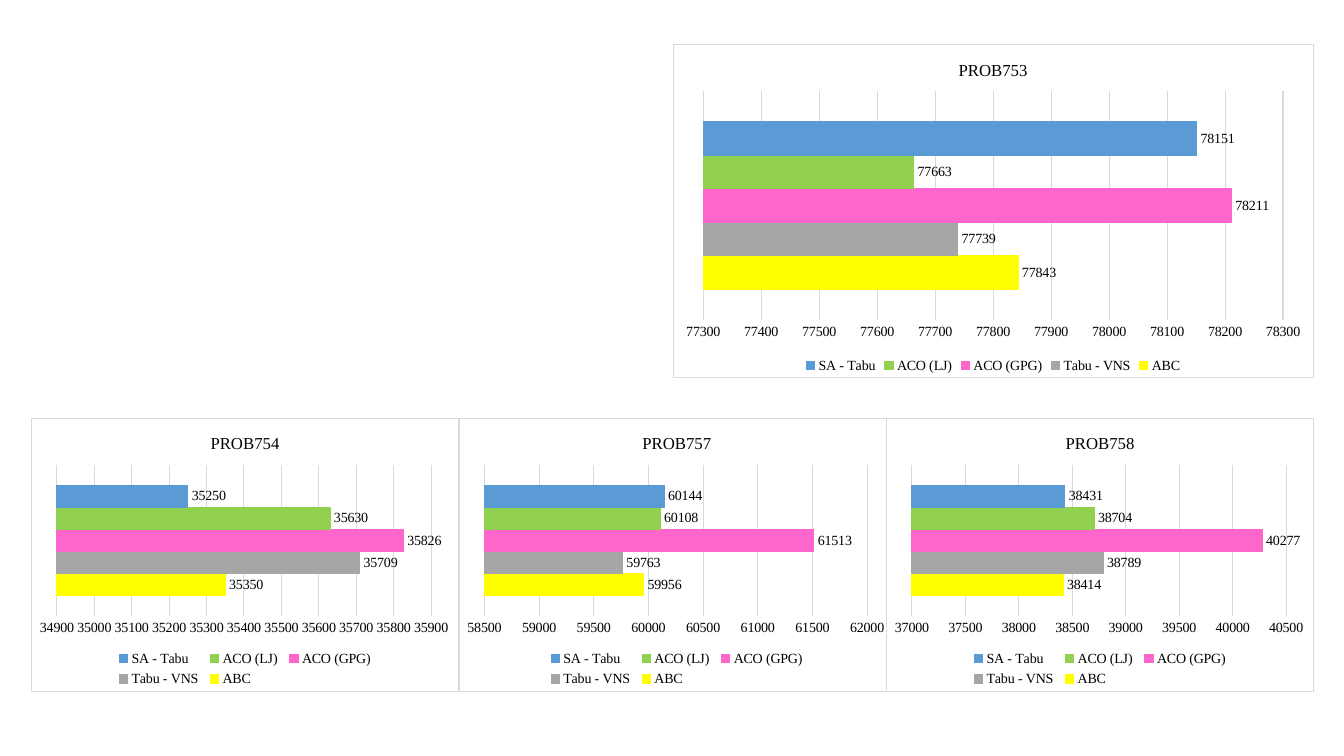
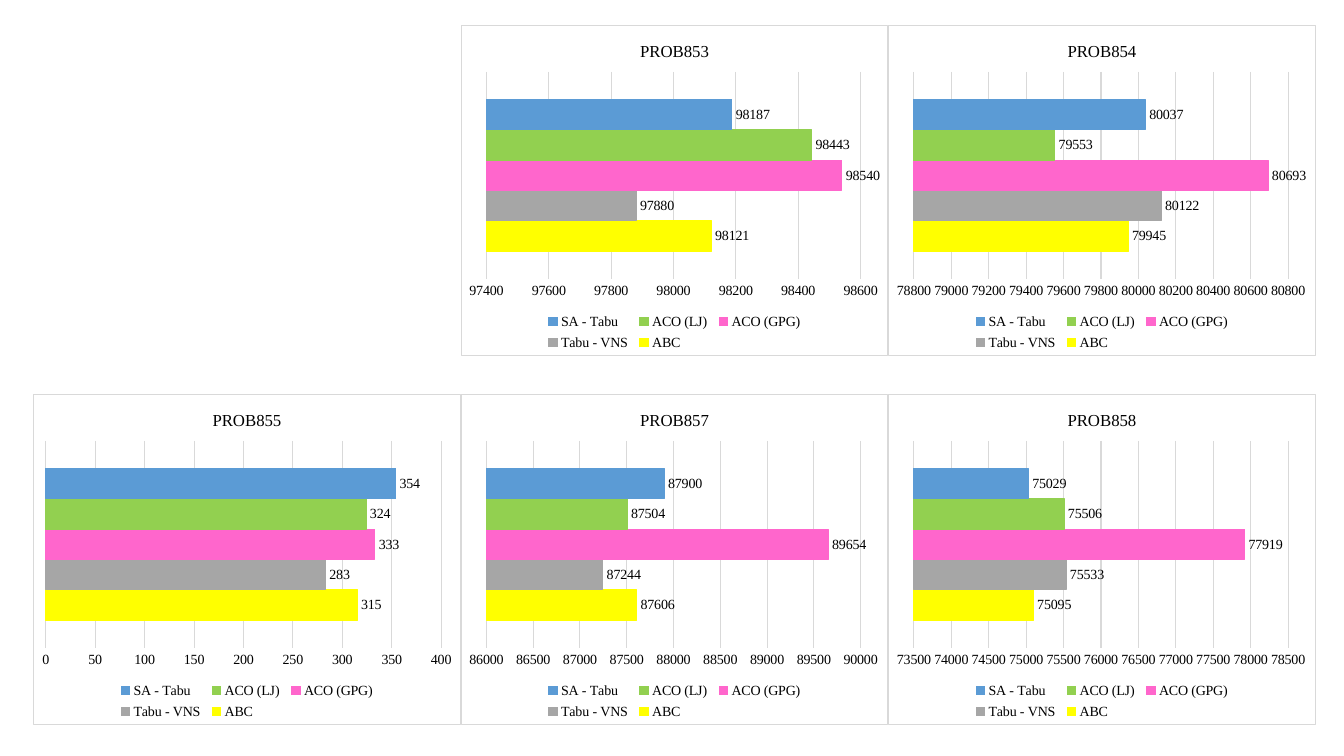
from pptx import Presentation
from pptx.chart.data import CategoryChartData
from pptx.dml.color import RGBColor
from pptx.enum.chart import XL_CHART_TYPE, XL_LABEL_POSITION, XL_LEGEND_POSITION, XL_TICK_MARK
from pptx.oxml import parse_xml
from pptx.oxml.ns import nsdecls
from pptx.util import Inches, Pt

FONT = "Times New Roman"
BLACK = "000000"
WHITE = "FFFFFF"
GRID = "D9D9D9"
LINE_WIDTH = Pt(0.75)

COLUMN_WIDTH = 4.24
TITLE_BAND = 0.46
LEGEND_WIDTH = 2.65
LEGEND_HEIGHT = 0.46

# Series run from the lowest bar to the highest
METHODS = [
    ("ABC", "FFFF00"),
    ("Tabu - VNS", "A6A6A6"),
    ("ACO (GPG)", "FF66CC"),
    ("ACO (LJ)", "92D050"),
    ("SA - Tabu", "5B9BD5"),
]

# Slide: left margin, then rows of (top, height, charts)
# Chart: title, column, column span, values, axis (minimum, maximum, step)
SLIDES = [
    (0.31, [
        (0.44, 3.31, [
            ("PROB753", 1.5, 1.5, (77843, 77739, 78211, 77663, 78151), (77300, 78300, 100)),
        ]),
        (4.15, 2.72, [
            ("PROB754", 0, 1, (35350, 35709, 35826, 35630, 35250), (34900, 35900, 100)),
            ("PROB757", 1, 1.02, (59956, 59763, 61513, 60108, 60144), (58500, 62000, 500)),
            ("PROB758", 2, 1, (38414, 38789, 40277, 38704, 38431), (37000, 40500, 500)),
        ]),
    ]),
    (0.33, [
        (0.25, 3.28, [
            ("PROB853", 1, 1, (98121, 97880, 98540, 98443, 98187), (97400, 98600, 200)),
            ("PROB854", 2, 1, (79945, 80122, 80693, 79553, 80037), (78800, 80800, 200)),
        ]),
        (3.91, 3.28, [
            ("PROB855", 0, 1, (315, 283, 333, 324, 354), (0, 400, 50)),
            ("PROB857", 1, 1, (87606, 87244, 89654, 87504, 87900), (86000, 90000, 500)),
            ("PROB858", 2, 1, (75095, 75533, 77919, 75506, 75029), (73500, 78500, 500)),
        ]),
    ]),
]


def color(hex_string):
    return RGBColor.from_string(hex_string)


def set_layout(element, index, target, **shares):
    """Fix a chart part's place, in shares of the chart's size."""
    for layout in element.xpath("c:layout"):
        element.remove(layout)
    target_xml = f'<c:layoutTarget val="{target}"/>' if target else ""
    modes = "".join(f'<c:{name}Mode val="edge"/>' for name in ("x", "y"))
    values = "".join(f'<c:{name} val="{share:.4f}"/>' for name, share in shares.items())
    element.insert(index, parse_xml(
        f'<c:layout {nsdecls("c")}><c:manualLayout>{target_xml}{modes}{values}'
        '</c:manualLayout></c:layout>'))


presentation = Presentation()
presentation.slide_width = Inches(13.33)
presentation.slide_height = Inches(7.5)

charts = [
    (number, left + column * COLUMN_WIDTH, top, span * COLUMN_WIDTH, height, title, values, scale)
    for number, (left, rows) in enumerate(SLIDES)
    for top, height, row in rows
    for title, column, span, values, scale in row
]
slides = [presentation.slides.add_slide(presentation.slide_layouts[6]) for _ in SLIDES]

for number, left, top, width, height, title, values, scale in charts:
    chart_data = CategoryChartData()
    chart_data.categories = ["1"]
    for (name, _), value in zip(METHODS, values):
        chart_data.add_series(name, [value])
    chart = slides[number].shapes.add_chart(
        XL_CHART_TYPE.BAR_CLUSTERED, Inches(left), Inches(top),
        Inches(width), Inches(height), chart_data).chart
    chart.font.name = FONT
    chart.font.size = Pt(10)
    chart.font.color.rgb = color(BLACK)

    chart.has_title = True
    run = chart.chart_title.text_frame.paragraphs[0].add_run()
    run.text = title
    run.font.name = FONT
    run.font.size = Pt(12)
    run.font.bold = False
    run.font.color.rgb = color(BLACK)

    chart.category_axis.visible = False
    value_axis = chart.value_axis
    value_axis.minimum_scale, value_axis.maximum_scale, value_axis.major_unit = scale
    value_axis.major_tick_mark = XL_TICK_MARK.NONE
    value_axis.minor_tick_mark = XL_TICK_MARK.NONE
    value_axis.format.line.fill.background()
    value_axis.has_major_gridlines = True
    value_axis.major_gridlines.format.line.color.rgb = color(GRID)
    value_axis.major_gridlines.format.line.width = LINE_WIDTH

    plot = chart.plots[0]
    plot.vary_by_categories = False
    plot.gap_width = 182
    plot.overlap = 0
    for series, (_, fill) in zip(plot.series, METHODS):
        series.format.fill.solid()
        series.format.fill.fore_color.rgb = color(fill)
        series.format.line.color.rgb = color(fill)
        series.format.line.width = LINE_WIDTH
        series.data_labels.show_value = True
        series.data_labels.position = XL_LABEL_POSITION.OUTSIDE_END

    chart.has_legend = True
    chart.legend.position = XL_LEGEND_POSITION.BOTTOM
    chart.legend.include_in_layout = False

    # Wide charts have a legend of one row, the others of two
    wide = width > 1.25 * COLUMN_WIDTH
    short_labels = scale[1] < 1000
    left_margin = 0.3 if wide else 0.12 if short_labels else 0.25
    right_margin = 0.3 if wide else 0.19 if short_labels else 0.27
    bottom_band = 0.57 if wide else 0.76
    set_layout(chart.element.xpath("c:chart/c:plotArea")[0], 0, "inner",
               x=left_margin / width, y=TITLE_BAND / height,
               w=1 - (left_margin + right_margin) / width,
               h=1 - (TITLE_BAND + bottom_band) / height)
    if not wide:
        set_layout(chart.element.xpath("c:chart/c:legend")[0], 1, None,
                   x=(1 - LEGEND_WIDTH / width) / 2, y=1 - LEGEND_HEIGHT / height,
                   w=LEGEND_WIDTH / width, h=LEGEND_HEIGHT / height)

    chart.element.xpath("c:txPr")[0].addprevious(parse_xml(
        f'<c:spPr {nsdecls("c", "a")}>'
        f'<a:solidFill><a:srgbClr val="{WHITE}"/></a:solidFill>'
        f'<a:ln w="{LINE_WIDTH}"><a:solidFill><a:srgbClr val="{GRID}"/></a:solidFill></a:ln>'
        '</c:spPr>'))

presentation.save("out.pptx")
